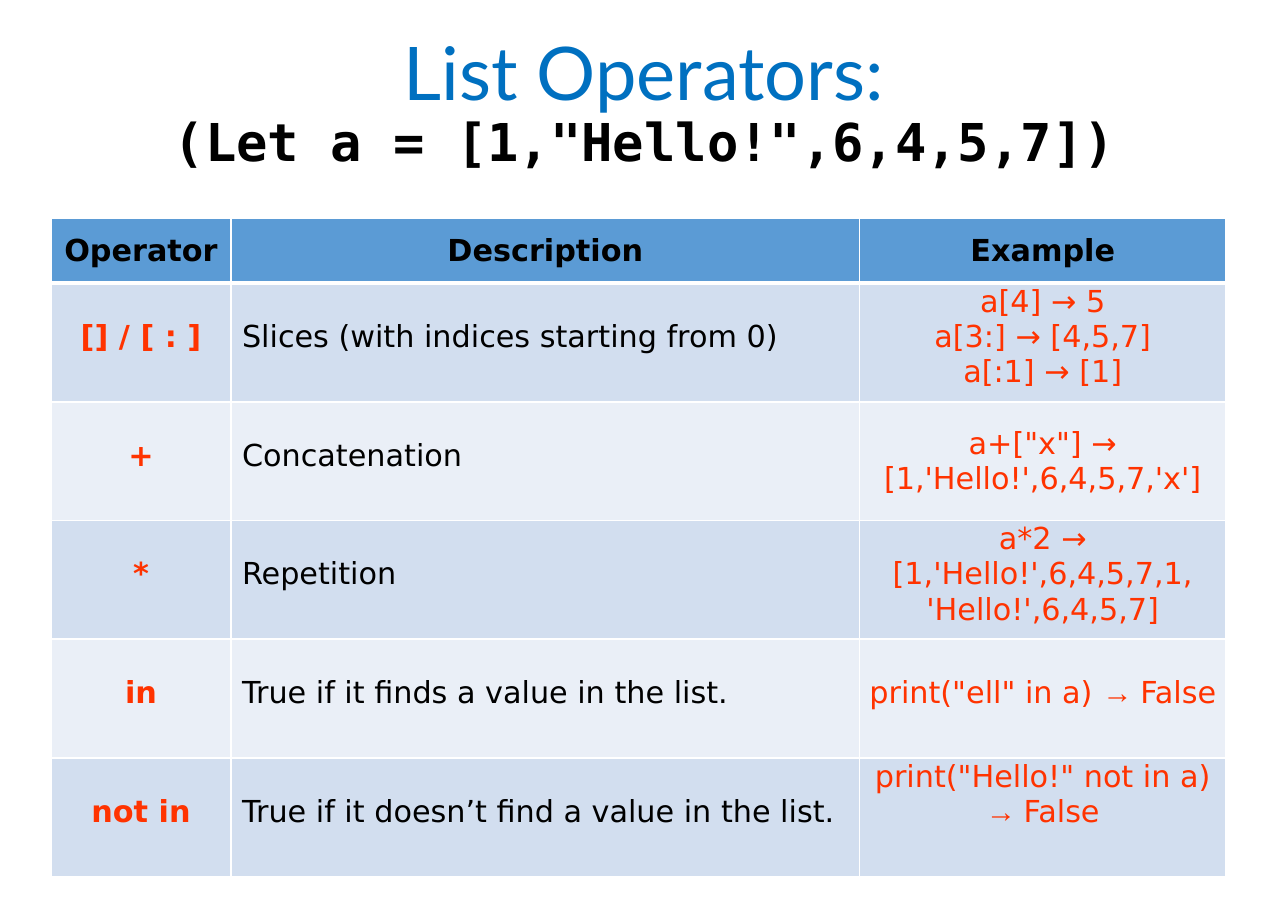
from dataclasses import dataclass

from lxml import etree
from pptx import Presentation
from pptx import util as u
from pptx.dml import color
from pptx.enum import text
from pptx.oxml import ns


@dataclass(frozen=True)
class Theme:
    title: str = "0070C0"
    ink: str = "000000"
    accent: str = "FF3300"
    header: str = "5B9BD5"
    bands: tuple = ("D2DEEF", "EAEFF7")
    border: str = "FFFFFF"
    title_font: str = "Lato"
    code_font: str = "DejaVu Sans Mono"
    body_font: str = "DejaVu Sans"
    arrow_font: str = "Times New Roman"
    title_size: int = 44
    code_size: int = 31
    body_size: int = 18


THEME = Theme()
CENTER, LEFT = text.PP_ALIGN.CENTER, text.PP_ALIGN.LEFT
TOP, MIDDLE = text.MSO_ANCHOR.TOP, text.MSO_ANCHOR.MIDDLE
LINE = 0.29
INSET = 0.01
COLUMNS = (1.49, 5.19, 3.03)
HEADER_HEIGHT, ROW_HEIGHT = 0.54, 0.98
HEADINGS = ("Operator", "Description", "Example")

ARROW = ("→ ", THEME.arrow_font)
OPERATORS = (
    ("[] / [ : ]", "Slices (with indices starting from 0)", TOP, 0,
     [["a[4] → 5"], ["a[3:] → [4,5,7]"], ["a[:1] → [1]"]]),
    ("+", "Concatenation", MIDDLE, 0,
     [["a+[\"x\"] → [1,'Hello!',6,4,5,7,'x']"]]),
    ("*", "Repetition", TOP, 0,
     [["a*2 → [1,'Hello!',6,4,5,7,1,"], ["'Hello!',6,4,5,7]"]]),
    ("in", "True if it finds a value in the list.", TOP, LINE,
     [["print(\"ell\" in a) ", ARROW, "False"]]),
    ("not in", "True if it doesn’t find a value in the list.", TOP, 0,
     [["print(\"Hello!\" not in a) ", ARROW, "False"]]),
)


def write(paragraph, words, *, font=THEME.body_font, size=THEME.body_size,
          ink=THEME.ink, bold=False, align=CENTER):
    paragraph.alignment = align
    run = paragraph.add_run()
    run.text = words
    run.font.name = font
    run.font.size = u.Pt(size)
    run.font.bold = bold
    run.font.color.rgb = color.RGBColor.from_string(ink)


def style_cell(cell, fill, bottom=1, anchor=TOP, top=INSET, left=INSET):
    properties = cell._tc.get_or_add_tcPr()
    for edge, width in (("L", 1), ("R", 1), ("T", 1), ("B", bottom)):
        border = etree.SubElement(properties, ns.qn(f"a:ln{edge}"), w=str(u.Pt(width)))
        paint = etree.SubElement(border, ns.qn("a:solidFill"))
        etree.SubElement(paint, ns.qn("a:srgbClr"), val=THEME.border)
    cell.fill.solid()
    cell.fill.fore_color.rgb = color.RGBColor.from_string(fill)
    cell.vertical_anchor = anchor
    cell.margin_left, cell.margin_right = u.Inches(left), u.Inches(INSET)
    cell.margin_top, cell.margin_bottom = u.Inches(top), 0


def place_heading(slide, left, top, width, height):
    heading = slide.shapes.title
    heading.left, heading.top = u.Inches(left), u.Inches(top)
    heading.width, heading.height = u.Inches(width), u.Inches(height)
    frame = heading.text_frame
    frame.auto_size = text.MSO_AUTO_SIZE.NONE
    frame.word_wrap = True
    frame.vertical_anchor = MIDDLE
    line = frame.paragraphs[0]
    line.line_spacing = 0.9
    write(line, "List Operators:", font=THEME.title_font,
          size=THEME.title_size, ink=THEME.title)
    line.add_line_break()
    write(line, "(Let a = [1,\"Hello!\",6,4,5,7])", font=THEME.code_font,
          size=THEME.code_size, bold=True)


def write_example(cell, lines):
    frame = cell.text_frame
    for number, parts in enumerate(lines):
        paragraph = frame.add_paragraph() if number else frame.paragraphs[0]
        for part in parts:
            words, font = (part, THEME.body_font) if isinstance(part, str) else part
            write(paragraph, words, font=font, ink=THEME.accent)


def place_operators(slide, left, top, width, height):
    table = slide.shapes.add_table(
        len(OPERATORS) + 1, len(HEADINGS), u.Inches(left), u.Inches(top),
        u.Inches(width), u.Inches(height)).table
    for column, column_width in zip(table.columns, COLUMNS):
        column.width = u.Inches(column_width)
    for row in table.rows:
        row.height = u.Inches(ROW_HEIGHT)
    table.rows[0].height = u.Inches(HEADER_HEIGHT)

    for cell, label in zip(table.rows[0].cells, HEADINGS):
        style_cell(cell, THEME.header, bottom=3, anchor=MIDDLE)
        write(cell.text_frame.paragraphs[0], label, bold=True)

    for index, (operator, meaning, anchor, drop, lines) in enumerate(OPERATORS):
        symbol, description, example = table.rows[index + 1].cells
        band = THEME.bands[index % 2]
        style_cell(symbol, band, top=INSET + LINE)
        write(symbol.text_frame.paragraphs[0], operator, ink=THEME.accent, bold=True)
        style_cell(description, band, top=INSET + LINE, left=0.09)
        write(description.text_frame.paragraphs[0], meaning, align=LEFT)
        style_cell(example, band, anchor=anchor, top=INSET + drop)
        write_example(example, lines)


def main():
    deck = Presentation()
    deck.slide_width, deck.slide_height = u.Inches(10.64), u.Inches(7.5)
    slide = deck.slides.add_slide(deck.slide_layouts[5])
    place_heading(slide, 0, 0.17, 10.64, 1.39)
    place_operators(slide, 0.42, 1.8, sum(COLUMNS),
                    HEADER_HEIGHT + ROW_HEIGHT * len(OPERATORS))
    deck.save("out.pptx")


if __name__ == "__main__":
    main()
